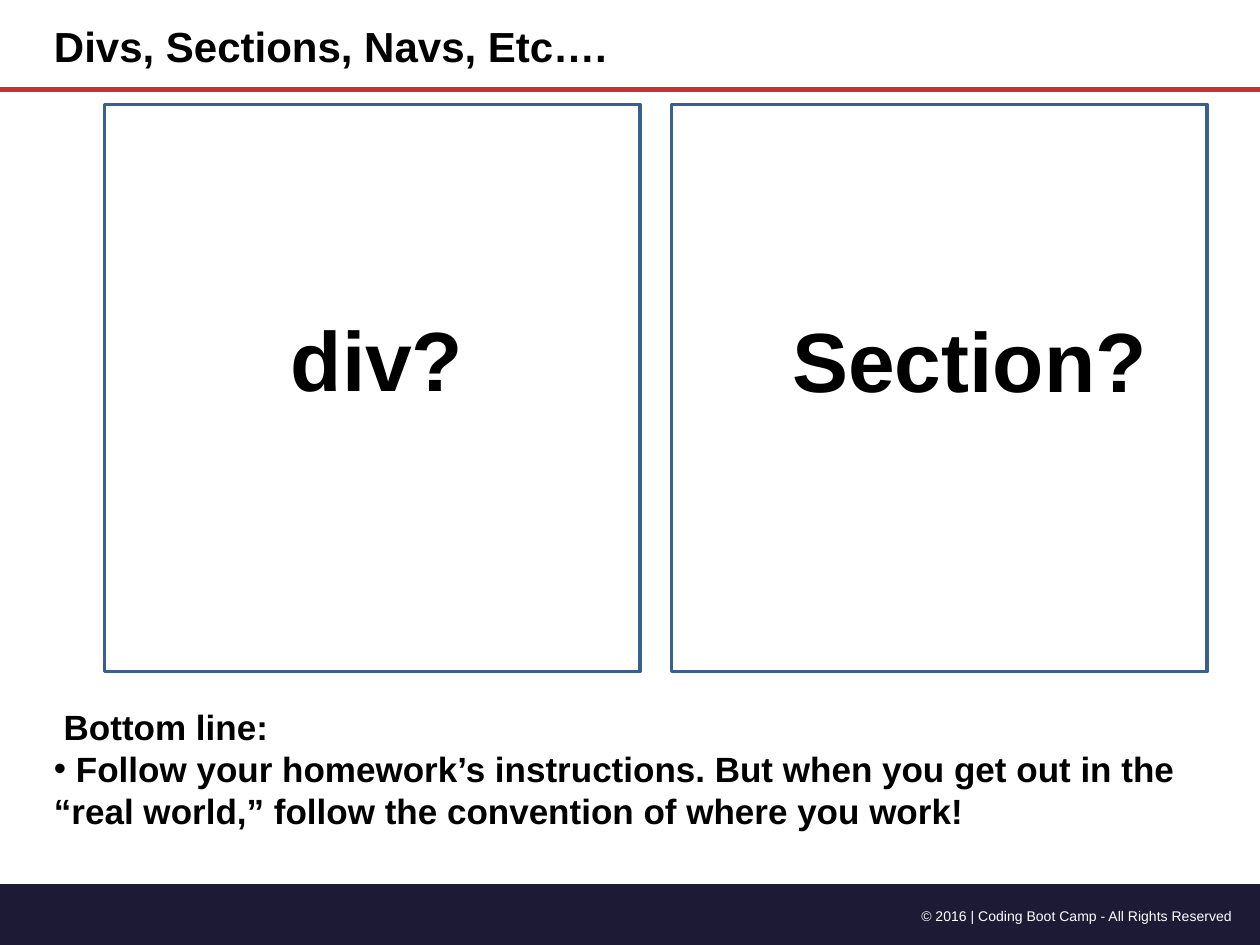
from lxml import etree
from pptx import Presentation
from pptx.dml.color import RGBColor
from pptx.enum.shapes import MSO_CONNECTOR, MSO_SHAPE
from pptx.enum.text import PP_ALIGN
from pptx.oxml.ns import qn
from pptx.util import Inches, Pt

STRAIGHT = MSO_CONNECTOR.STRAIGHT
RECTANGLE = MSO_SHAPE.RECTANGLE
PROCESS = MSO_SHAPE.FLOWCHART_PROCESS
LEFT, RIGHT = PP_ALIGN.LEFT, PP_ALIGN.RIGHT

FONT = "Arial"
COLORS = {
    "text": "000000",
    "footer_text": "FFFFFF",
    "footer_bar": "1D1A36",
    "rule": "C83232",
    "frame": "3A5F8C",
}


def color(name):
    return RGBColor.from_string(COLORS[name])


def add_bullet(para):
    properties = para._p.get_or_add_pPr()
    properties.set("marL", "0")
    properties.set("indent", "0")
    etree.SubElement(properties, qn("a:buFont"), typeface=FONT)
    etree.SubElement(properties, qn("a:buChar"), char="•")


def write(para, text, size=20, bold=True, ink="text", align=LEFT, bullet=False):
    para.alignment = align
    if bullet:
        add_bullet(para)
    span = para.add_run()
    span.text = text
    span.font.name = FONT
    span.font.size = Pt(size)
    span.font.bold = bold
    span.font.color.rgb = color(ink)


def add_text(page, left, top, width, height, lines, wrap=True, inset=0.05, **style):
    box = page.shapes.add_textbox(Inches(left), Inches(top), Inches(width), Inches(height))
    frame = box.text_frame
    frame.word_wrap = wrap
    frame.margin_top = frame.margin_bottom = Inches(inset)
    for index, (text, extra) in enumerate(lines):
        para = frame.add_paragraph() if index else frame.paragraphs[0]
        write(para, text, **style, **extra)


def add_block(page, kind, left, top, width, height, fill=None, line=None):
    block = page.shapes.add_shape(kind, Inches(left), Inches(top), Inches(width), Inches(height))
    block.shadow.inherit = False
    if fill:
        block.fill.solid()
        block.fill.fore_color.rgb = color(fill)
    else:
        block.fill.background()
    if line:
        block.line.color.rgb = color(line)
        block.line.width = Pt(2)
    else:
        block.line.fill.background()


def add_rule(page, top):
    rule = page.shapes.add_connector(STRAIGHT, 0, Inches(top), Inches(10), Inches(top))
    rule.line.color.rgb = color("rule")
    rule.line.width = Pt(3.25)
    etree.SubElement(rule._element.spPr, qn("a:effectLst"))


def main():
    deck = Presentation()
    deck.slide_width, deck.slide_height = Inches(10), Inches(7.5)
    page = deck.slides.add_slide(deck.slide_layouts[6])

    add_block(page, PROCESS, 0, 7.02, 10.01, 0.5, fill="footer_bar")
    add_text(page, 6.83, 7.15, 3.05, 0.23,
             [("© 2016 | Coding Boot Camp - All Rights Reserved", {})],
             size=8, bold=False, ink="footer_text", align=RIGHT)
    add_rule(page, 0.71)
    add_text(page, 0.33, 0.11, 6.25, 0.5, [("Divs, Sections, Navs, Etc….", {})], size=24)
    add_text(page, 0.33, 5.5, 9.55, 1.33, [
        (" Bottom line:", {}),
        (" Follow your homework’s instructions. But when you get out in the "
         "“real world,” follow the convention of where you work!", {"bullet": True}),
    ], inset=0.1)

    for left in (0.83, 5.33):
        add_block(page, RECTANGLE, left, 0.83, 4.25, 4.5, line="frame")
    for label, left, top, width in (("div?", 2.21, 2.39, 1.6), ("Section?", 6.19, 2.4, 3.1)):
        add_text(page, left, top, width, 0.9, [(label, {})], wrap=False, size=48)

    deck.save("out.pptx")


if __name__ == "__main__":
    main()
